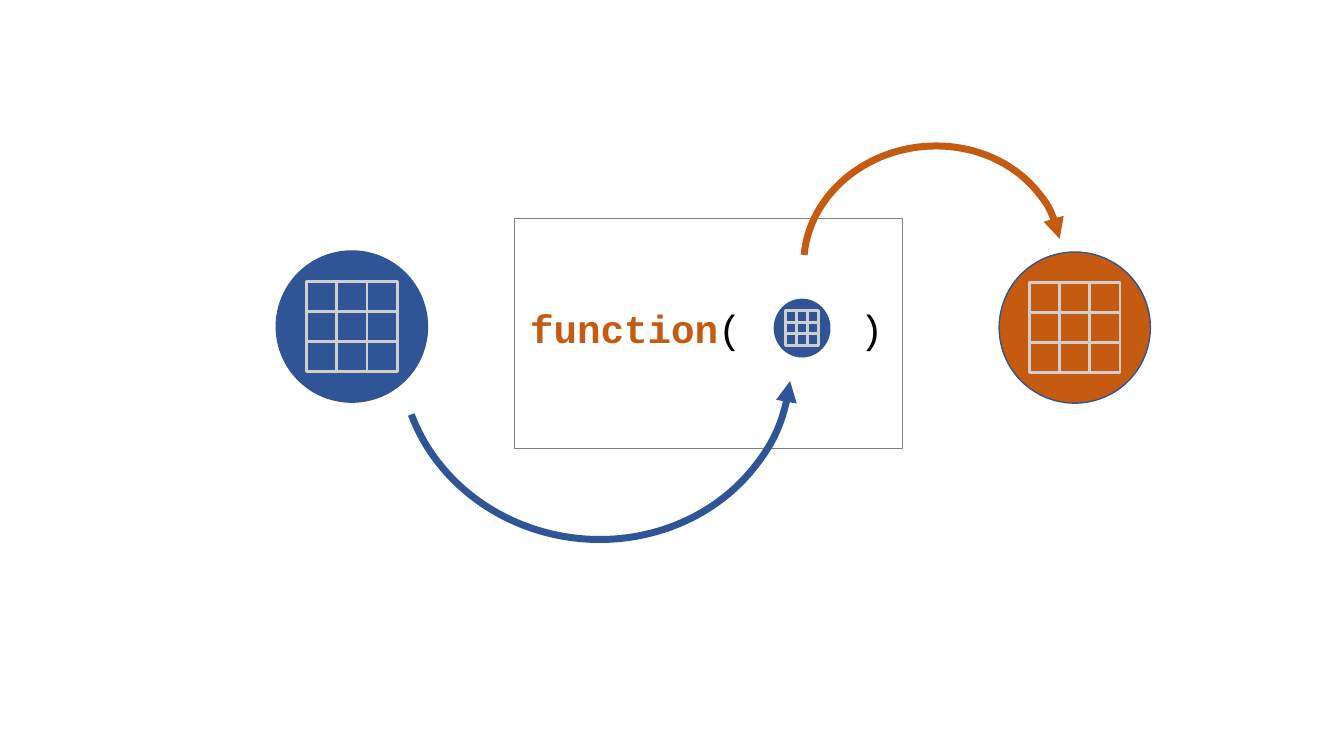
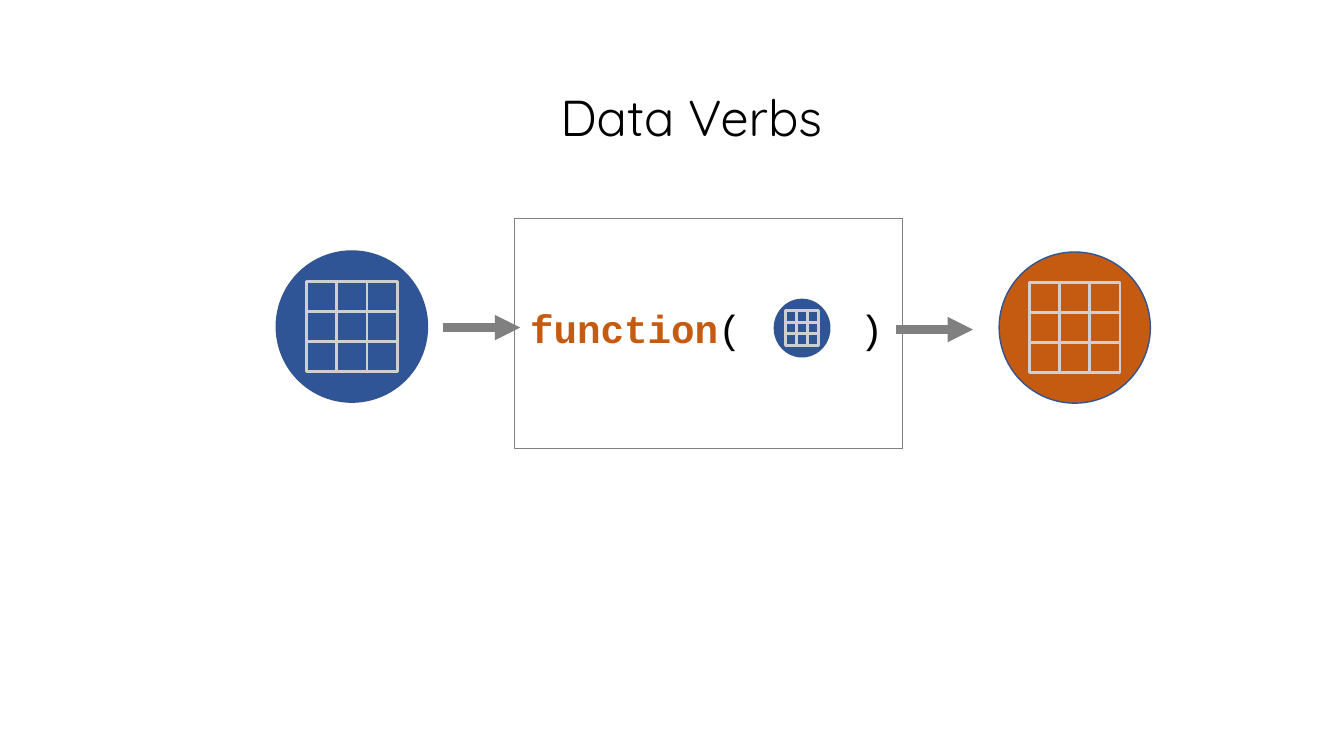
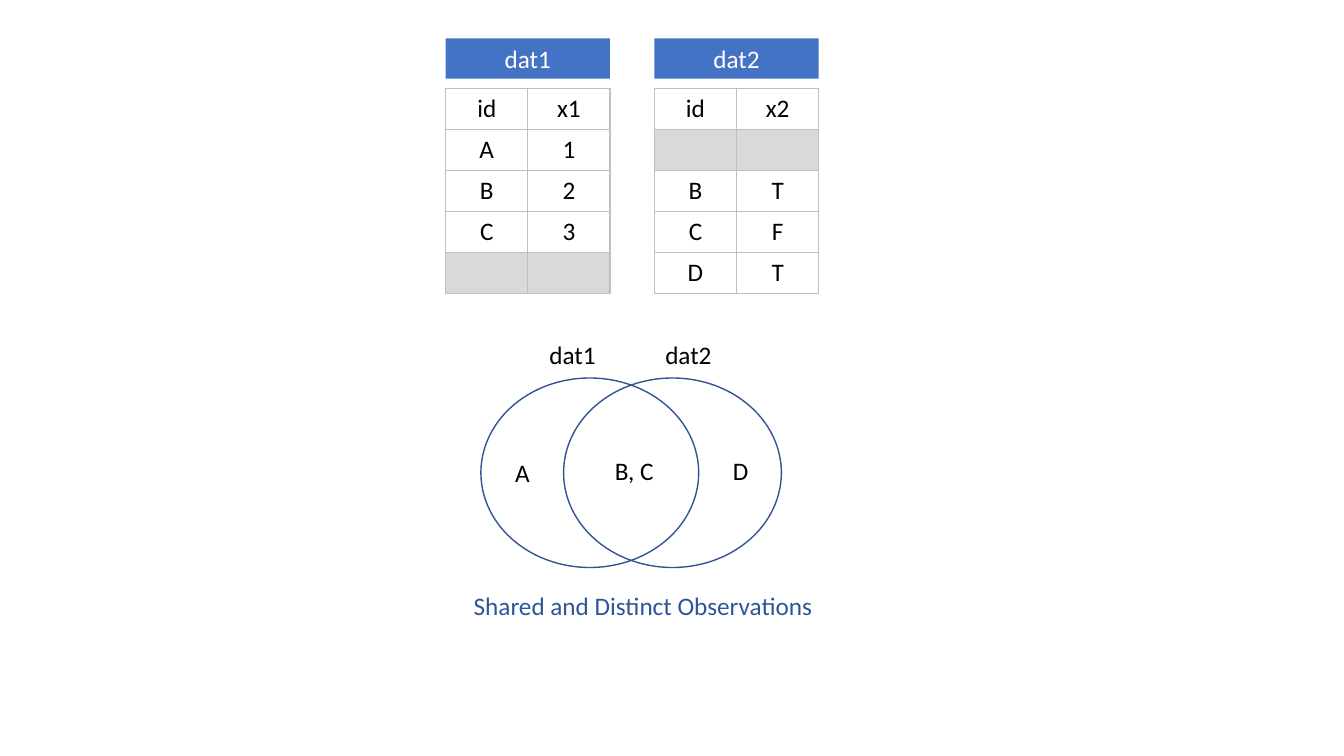
from pptx import Presentation
from pptx.dml.color import RGBColor
from pptx.enum.shapes import MSO_CONNECTOR, MSO_SHAPE
from pptx.enum.text import PP_ALIGN
from pptx.oxml.ns import qn
from pptx.util import Inches, Pt
from lxml.etree import SubElement

COLORS = {
    "blue": "2F5597",
    "outline": "325491",
    "header": "4472C4",
    "orange": "C55A11",
    "gray": "808080",
    "grid": "D0CECE",
    "border": "BFBFBF",
    "missing": "D9D9D9",
    "black": "000000",
    "white": "FFFFFF",
}
BODY_FONT, CODE_FONT, TITLE_FONT = "Calibri", "Courier New", "Quicksand"


def rgb(name):
    return RGBColor.from_string(COLORS[name])


def add_figure(shapes, preset, box, fill=None, line=None, width=1):
    figure = shapes.add_shape(preset, *map(Inches, box))
    figure.shadow.inherit = False
    if fill:
        figure.fill.solid()
        figure.fill.fore_color.rgb = rgb(fill)
    else:
        figure.fill.background()
    if line:
        figure.line.color.rgb = rgb(line)
        figure.line.width = Pt(width)
    else:
        figure.line.fill.background()
    return figure


def style_run(run, color, size=18, font=BODY_FONT, bold=False):
    run.font.name = font
    run.font.size = Pt(size)
    run.font.bold = bold
    run.font.color.rgb = rgb(color)


def write_centered(text_frame, text, color):
    paragraph = text_frame.paragraphs[0]
    paragraph.text = text
    paragraph.alignment = PP_ALIGN.CENTER
    for run in paragraph.runs:
        style_run(run, color)


def add_label(slide, text, box, color="black", size=18, font=BODY_FONT):
    label = slide.shapes.add_textbox(*map(Inches, box))
    label.text_frame.word_wrap = False
    label.text_frame.text = text
    style_run(label.text_frame.paragraphs[0].runs[0], color, size, font)


def add_arrowhead(line):
    SubElement(line._get_or_add_ln(), qn("a:tailEnd"), type="triangle")


def add_data_circle(slide, left, top, width, height, fill):
    """Circle holding a 3 by 3 grid whose cells are a fifth of its size."""
    circle = slide.shapes.add_group_shape().shapes
    add_figure(circle, MSO_SHAPE.OVAL, (left, top, width, height), fill, "outline")
    cell_width, cell_height = width / 5, height / 5
    for row in range(1, 4):
        for column in range(1, 4):
            cell = (left + column * cell_width, top + row * cell_height,
                    cell_width, cell_height)
            add_figure(circle, MSO_SHAPE.RECTANGLE, cell, line="grid", width=2)


def add_function_call(slide):
    call = slide.shapes.add_textbox(*map(Inches, (5.16, 2.97, 3.73, 0.57)))
    call.text_frame.word_wrap = True
    paragraph = call.text_frame.paragraphs[0]
    tabs = SubElement(paragraph._p.get_or_add_pPr(), qn("a:tabLst"))
    SubElement(tabs, qn("a:tab"), pos=str(Inches(3.27)), algn="l")
    for text, color, bold in (("function", "orange", True), ("(\t)", "black", False)):
        run = paragraph.add_run()
        run.text = text
        style_run(run, color, 28, CODE_FONT, bold)


def add_function_diagram(slide):
    """Input data, the function box with its argument, and output data."""
    add_data_circle(slide, 2.74, 2.49, 1.5, 1.5, "blue")
    add_figure(slide.shapes, MSO_SHAPE.RECTANGLE, (5.1, 2.17, 3.85, 2.28), line="gray")
    add_data_circle(slide, 7.68, 2.97, 0.55, 0.57, "blue")
    add_function_call(slide)
    add_data_circle(slide, 9.91, 2.5, 1.5, 1.5, "orange")


def add_curved_arrow(slide, box, color, angles, rotation, flipped=False):
    arc = add_figure(slide.shapes, MSO_SHAPE.ARC, box, line=color, width=5)
    for index, angle in enumerate(angles):
        arc.adjustments[index] = angle * 0.6  # 60000 units a degree, over 100000
    arc.rotation = rotation
    if flipped:
        arc._element.spPr.find(qn("a:xfrm")).set("flipV", "1")
    add_arrowhead(arc.line)


def add_straight_arrow(slide, start, end, y):
    arrow = slide.shapes.add_connector(
        MSO_CONNECTOR.STRAIGHT, *map(Inches, (start, y, end, y)))
    arrow.line.color.rgb = rgb("gray")
    arrow.line.width = Pt(6)
    add_arrowhead(arrow.line)
    SubElement(arrow._element.spPr, qn("a:effectLst"))


def add_cell_borders(cell):
    properties = cell._tc.get_or_add_tcPr()
    for side in ("lnL", "lnR", "lnT", "lnB"):
        border = SubElement(properties, qn(f"a:{side}"), w=str(Pt(1)))
        fill = SubElement(border, qn("a:solidFill"))
        SubElement(fill, qn("a:srgbClr"), val=COLORS["border"])


def add_dataset(slide, name, left, rows):
    """Name band above a table; a row of None is a missing observation."""
    width = 1.63
    frame = slide.shapes.add_table(
        len(rows), 2, *map(Inches, (left, 0.88, width, 2.03)))
    table = frame.table
    table.first_row = table.horz_banding = False
    for row_index, row in enumerate(rows):
        for column in range(2):
            cell = table.cell(row_index, column)
            add_cell_borders(cell)
            if row:
                cell.fill.background()
                write_centered(cell.text_frame, row[column], "black")
            else:
                cell.fill.solid()
                cell.fill.fore_color.rgb = rgb("missing")
    band = add_figure(slide.shapes, MSO_SHAPE.RECTANGLE, (left, 0.38, width, 0.4), "header")
    write_centered(band.text_frame, name, "white")


def add_venn_diagram(slide):
    for left in (4.77, 5.59):
        add_figure(slide.shapes, MSO_SHAPE.OVAL, (left, 3.75, 2.16, 1.88), line="outline")
    for text, left, top, width in (
        ("A", 5.01, 4.49, 0.35),
        ("B, C", 6, 4.47, 0.59),
        ("D", 7.17, 4.47, 0.36),
        ("dat1", 5.35, 3.32, 0.67),
        ("dat2", 6.5, 3.32, 0.67),
    ):
        add_label(slide, text, (left, top, width, 0.4))
    add_label(slide, "Shared and Distinct Observations", (4.6, 5.81, 3.6, 0.4), "blue")


def main():
    deck = Presentation()
    deck.slide_width, deck.slide_height = Inches(13.33), Inches(7.5)
    curved, verbs, joins = (
        deck.slides.add_slide(deck.slide_layouts[6]) for _ in range(3))

    add_function_diagram(curved)
    add_curved_arrow(curved, (3.97, 1.76, 3.88, 3.59), "blue",
                     (204.23, 0.62), 7.3, flipped=True)
    add_curved_arrow(curved, (7.97, 1.45, 2.56, 2.28), "orange",
                     (189.44, 356.78), 353.3)

    add_function_diagram(verbs)
    add_straight_arrow(verbs, 4.39, 5.16, 3.25)
    add_straight_arrow(verbs, 8.89, 9.65, 3.27)
    add_label(verbs, "Data Verbs", (5.46, 0.8, 2.95, 0.71), size=36, font=TITLE_FONT)

    add_dataset(joins, "dat1", 4.42,
                [("id", "x1"), ("A", "1"), ("B", "2"), ("C", "3"), None])
    add_dataset(joins, "dat2", 6.49,
                [("id", "x2"), None, ("B", "T"), ("C", "F"), ("D", "T")])
    add_venn_diagram(joins)

    deck.save("out.pptx")


if __name__ == "__main__":
    main()
